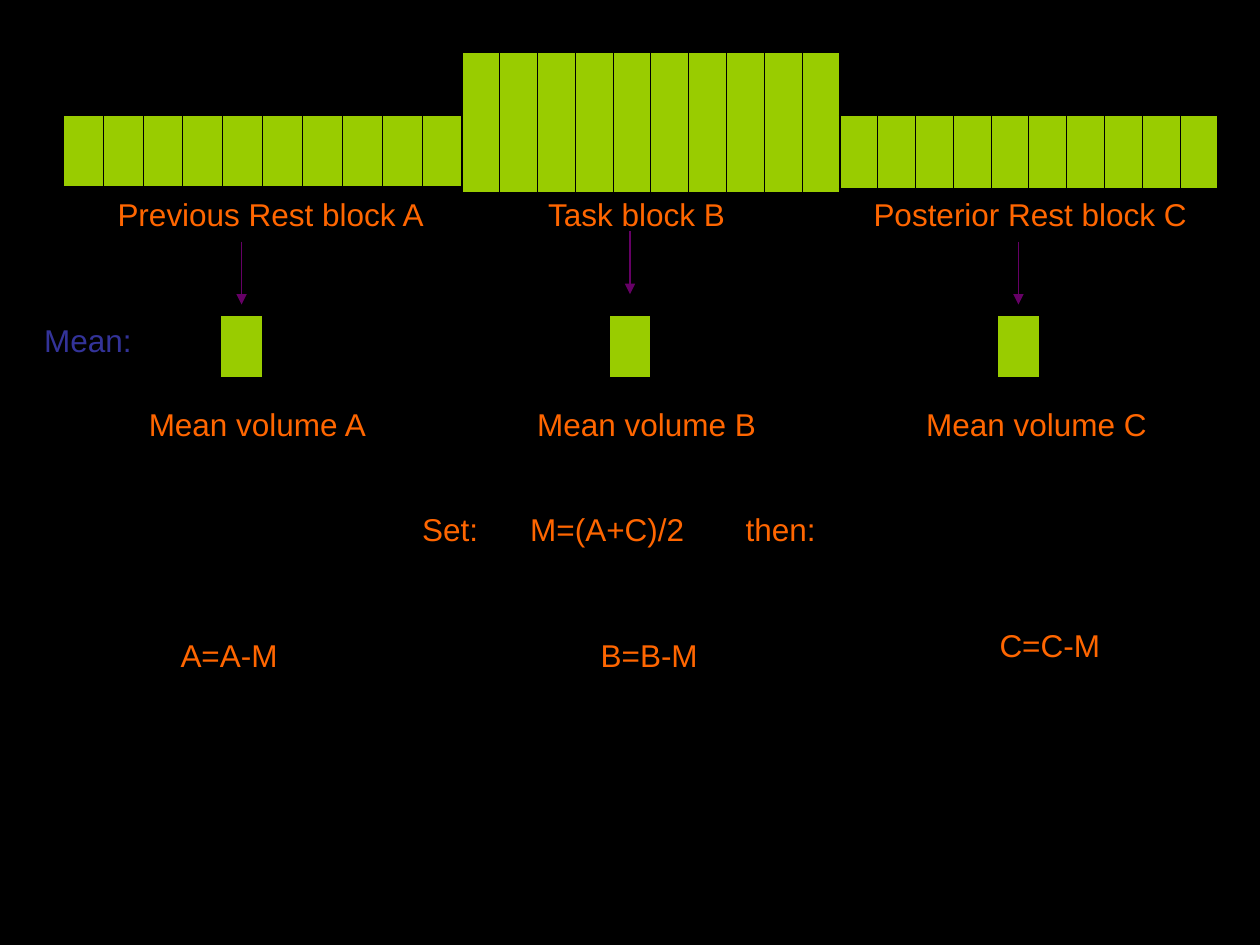
from dataclasses import dataclass

from lxml.etree import SubElement
from pptx import Presentation
from pptx.dml.color import RGBColor
from pptx.enum.shapes import MSO_CONNECTOR, MSO_SHAPE
from pptx.enum.text import MSO_AUTO_SIZE
from pptx.oxml.ns import qn
from pptx.util import Cm, Pt


@dataclass(frozen=True)
class Theme:
    background: RGBColor = RGBColor(0x00, 0x00, 0x00)
    border: RGBColor = RGBColor(0x00, 0x00, 0x00)
    volume: RGBColor = RGBColor(0x99, 0xCC, 0x00)
    label: RGBColor = RGBColor(0xFF, 0x66, 0x00)
    heading: RGBColor = RGBColor(0x33, 0x33, 0x99)
    arrow: RGBColor = RGBColor(0x66, 0x00, 0x66)
    font: str = "Arial"
    text_size: float = 18
    line: float = 0.75
    inner_border: float = 0.45
    outer_border: float = 1.08


def write_text(frame, text, *, font, size, color, tabs=()):
    paragraph = frame.paragraphs[0]
    run = paragraph.add_run()
    run.text = text
    run.font.name = font
    run.font.size = Pt(size)
    run.font.color.rgb = color
    if tabs:
        properties = paragraph._p.get_or_add_pPr()
        tab_list = SubElement(properties, qn("a:tabLst"))
        for position in tabs:
            SubElement(tab_list, qn("a:tab"), pos=str(Cm(position)), algn="l")


class SlideBuilder:
    def __init__(self, slide, theme):
        self.slide = slide
        self.theme = theme
        slide.background.fill.solid()
        slide.background.fill.fore_color.rgb = theme.background

    def text(self, text, left, top, width, color=None, tabs=()):
        box = self.slide.shapes.add_textbox(Cm(left), Cm(top), Cm(width), Cm(1.02))
        frame = box.text_frame
        frame.word_wrap = True
        frame.auto_size = MSO_AUTO_SIZE.SHAPE_TO_FIT_TEXT
        write_text(frame, text, font=self.theme.font, size=self.theme.text_size,
                   color=color or self.theme.label, tabs=tabs)

    def block(self, left, top, width, height, count=10):
        """A row of equal volumes."""
        table = self.slide.shapes.add_table(
            1, count, Cm(left), Cm(top), Cm(width), Cm(height)).table
        table.first_row = table.horz_banding = False
        inner, outer = self.theme.inner_border, self.theme.outer_border
        for index in range(count):
            cell = table.cell(0, index)
            self.border(cell, "L", outer if index == 0 else inner)
            self.border(cell, "R", outer if index == count - 1 else inner)
            self.border(cell, "T", outer)
            self.border(cell, "B", outer)
            cell.fill.solid()
            cell.fill.fore_color.rgb = self.theme.volume

    def border(self, cell, side, width):
        properties = cell._tc.get_or_add_tcPr()
        line = SubElement(properties, qn(f"a:ln{side}"), w=str(Pt(width)))
        fill = SubElement(line, qn("a:solidFill"))
        SubElement(fill, qn("a:srgbClr"), val=str(self.theme.border))

    def arrow(self, x, top, length):
        connector = self.slide.shapes.add_connector(
            MSO_CONNECTOR.STRAIGHT, Cm(x), Cm(top), Cm(x), Cm(top + length))
        connector.line.color.rgb = self.theme.arrow
        connector.line.width = Pt(self.theme.line)
        SubElement(connector.line._get_or_add_ln(), qn("a:tailEnd"), type="triangle")
        SubElement(connector._element.spPr, qn("a:effectLst"))

    def volume(self, center, top, width, height):
        shape = self.slide.shapes.add_shape(
            MSO_SHAPE.RECTANGLE, Cm(center - width / 2), Cm(top), Cm(width), Cm(height))
        shape.shadow.inherit = False
        shape.fill.solid()
        shape.fill.fore_color.rgb = self.theme.volume
        shape.line.color.rgb = self.theme.border
        shape.line.width = Pt(self.theme.line)


def main():
    presentation = Presentation()
    presentation.slide_width, presentation.slide_height = Cm(25.4), Cm(19.05)
    theme = Theme()
    builder = SlideBuilder(
        presentation.slides.add_slide(presentation.slide_layouts[6]), theme)

    # Blocks of volumes: left, top, width, height
    for bounds in ((1.27, 2.33, 8.05, 1.44),
                   (9.31, 1.06, 7.62, 2.83),
                   (16.93, 2.33, 7.62, 1.48)):
        builder.block(*bounds)

    # Arrows down to the mean volumes
    for center, top in ((4.87, 4.87), (12.7, 4.66), (20.53, 4.87)):
        builder.arrow(center, top, 1.27)
        builder.volume(center, 6.35, 0.85, 1.27)

    # Labels by row: top, then text, left and width
    rows = (
        (3.81, (("Previous Rest block A", 2.12, 6.9),
                ("Task block B", 10.8, 4.3),
                ("Posterior Rest block C", 17.36, 7.0))),
        (8.04, (("Mean volume A", 2.75, 5.1),
                ("Mean volume B", 10.58, 5.1),
                ("Mean volume C", 18.42, 5.1))),
        (12.7, (("A=A-M", 3.39, 2.6), ("B=B-M", 11.86, 2.6))),
        (12.49, (("C=C-M", 19.9, 2.7),)),
    )
    for top, labels in rows:
        for text, left, width in labels:
            builder.text(text, left, top, width)

    # Row heading and baseline formula
    builder.text("Mean:", 0.64, 6.35, 2.5, color=theme.heading)
    builder.text("Set:\tM=(A+C)/2\tthen:", 8.26, 10.16, 8.6, tabs=(2.18, 6.52))

    presentation.save("out.pptx")


if __name__ == "__main__":
    main()
